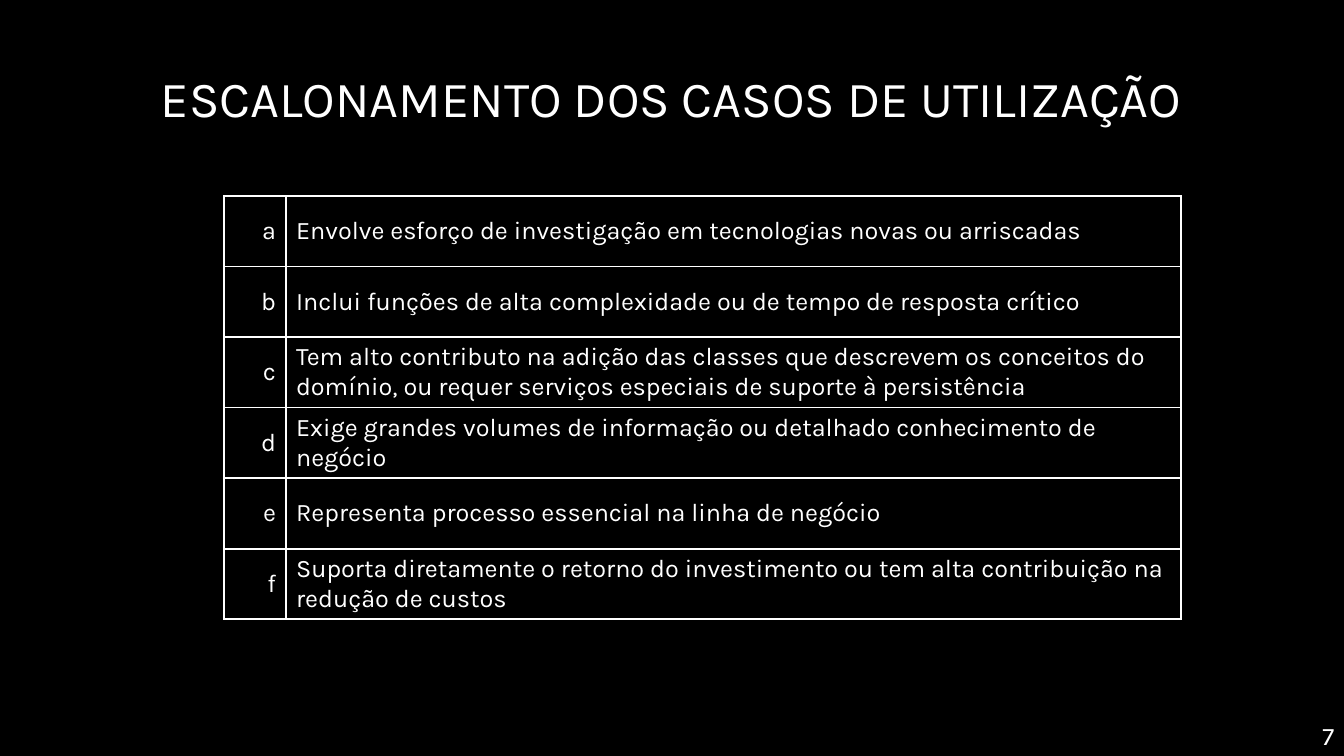
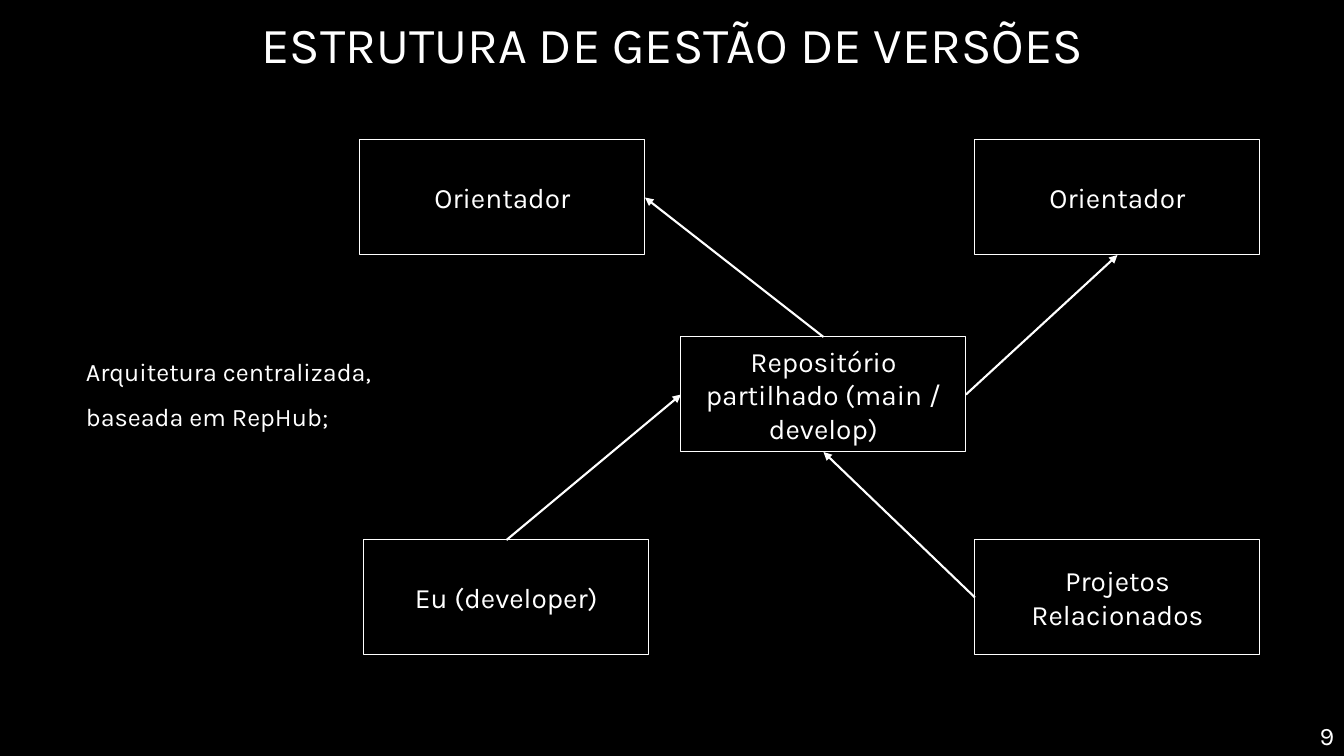
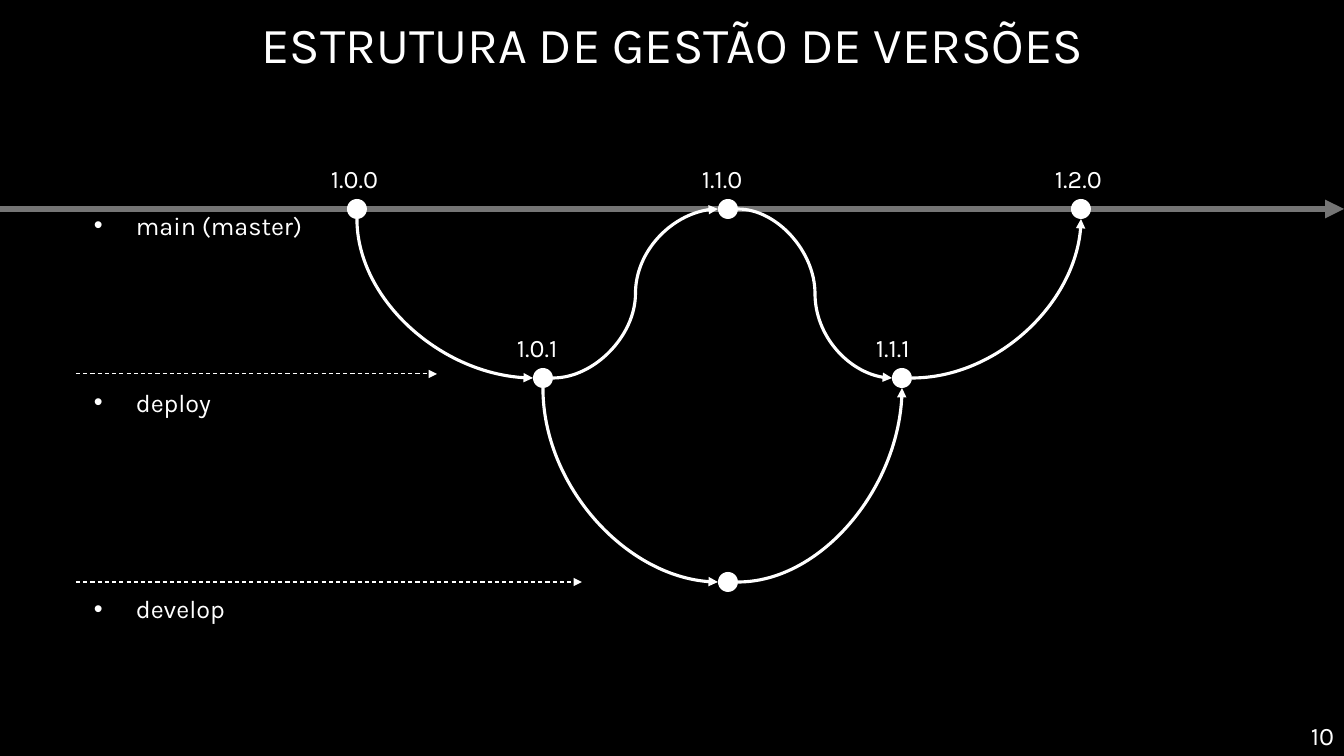
from lxml import etree
from pptx import Presentation
from pptx.dml.color import RGBColor
from pptx.enum.dml import MSO_LINE
from pptx.enum.shapes import MSO_CONNECTOR, MSO_SHAPE
from pptx.enum.text import MSO_ANCHOR, PP_ALIGN
from pptx.oxml.ns import qn
from pptx.util import Pt

PX = 9072  # EMU in one px
WIDTH, HEIGHT = 1344, 756
FONT = "Karla"
BLACK = RGBColor(0x00, 0x00, 0x00)
WHITE = RGBColor(0xFF, 0xFF, 0xFF)
GREY = RGBColor(0x75, 0x75, 0x75)
LEFT, CENTER, RIGHT = PP_ALIGN.LEFT, PP_ALIGN.CENTER, PP_ALIGN.RIGHT
TOP, MIDDLE = MSO_ANCHOR.TOP, MSO_ANCHOR.MIDDLE
STRAIGHT, CURVE = MSO_CONNECTOR.STRAIGHT, MSO_CONNECTOR.CURVE
DASH = MSO_LINE.DASH
RECTANGLE, OVAL = MSO_SHAPE.RECTANGLE, MSO_SHAPE.OVAL
SITE_TOP, SITE_LEFT, SITE_BOTTOM, SITE_RIGHT = range(4)


def write(frame, lines, size=18, align=LEFT, anchor=MIDDLE, spacing=0):
    """Fill a text frame with one paragraph per line."""
    frame.word_wrap = True
    frame.vertical_anchor = anchor
    for number, line in enumerate(lines):
        para = frame.add_paragraph() if number else frame.paragraphs[0]
        para.text = line
        para.alignment = align
        para.space_before = Pt(spacing)
        para.font.name = FONT
        para.font.size = Pt(size)
        para.font.color.rgb = WHITE


def add_arrow(page, kind, begin, end, width, color=WHITE, dash=None, tip="tailEnd"):
    """Draw a connector with a triangle at its end, or at its start (headEnd)."""
    points = [value * PX for value in (*begin, *end)]
    arrow = page.shapes.add_connector(kind, *points)
    arrow.line.width = Pt(width)
    arrow.line.color.rgb = color
    if dash:
        arrow.line.dash_style = dash
    properties = arrow._element.spPr
    etree.SubElement(properties.find(qn("a:ln")), qn("a:" + tip), type="triangle")
    etree.SubElement(properties, qn("a:effectLst"))
    return arrow


deck = Presentation()
deck.slide_width, deck.slide_height = WIDTH * PX, HEIGHT * PX
background = deck.slide_master.background.fill
background.solid()
background.fore_color.rgb = BLACK

# Titles and page numbers
VERSIONS_TITLE = "ESTRUTURA DE GESTÃO DE VERSÕES"
pages = []
for title_text, number, (left, top, width, height) in [
    ("ESCALONAMENTO DOS CASOS DE UTILIZAÇÃO", "7", (26, 59, 1291, 76)),
    (VERSIONS_TITLE, "9", (114, 1, 1117, 85)),
    (VERSIONS_TITLE, "10", (114, 1, 1117, 85)),
]:
    page = deck.slides.add_slide(deck.slide_layouts[5])
    title = page.shapes.title
    title.left, title.top = left * PX, top * PX
    title.width, title.height = width * PX, height * PX
    write(title.text_frame, [title_text], 36, CENTER)
    box = page.shapes.add_textbox(1283 * PX, 715 * PX, 61 * PX, 41 * PX)
    write(box.text_frame, [number], align=RIGHT)
    pages.append(page)
criteria_page, repository_page, branches_page = pages

# Criteria table
criteria = [
    "Envolve esforço de investigação em tecnologias novas ou arriscadas",
    "Inclui funções de alta complexidade ou de tempo de resposta crítico",
    "Tem alto contributo na adição das classes que descrevem os conceitos do "
    "domínio, ou requer serviços especiais de suporte à persistência",
    "Exige grandes volumes de informação ou detalhado conhecimento de negócio",
    "Representa processo essencial na linha de negócio",
    "Suporta diretamente o retorno do investimento ou tem alta contribuição na "
    "redução de custos",
]
table = criteria_page.shapes.add_table(
    len(criteria), 2, 224 * PX, 196 * PX, 957 * PX, 423 * PX
).table
table.first_row = table.horz_banding = False
table.columns[0].width, table.columns[1].width = 62 * PX, 895 * PX
for row, (letter, criterion) in enumerate(zip("abcdef", criteria)):
    for column, (text, align) in enumerate([(letter, RIGHT), (criterion, LEFT)]):
        cell = table.cell(row, column)
        write(cell.text_frame, [text], align=align)
        cell.vertical_anchor = MIDDLE
        cell_properties = cell._tc.get_or_add_tcPr()
        for side in ("lnL", "lnR", "lnT", "lnB"):
            border = etree.SubElement(cell_properties, qn("a:" + side), w=str(Pt(1.5)))
            fill = etree.SubElement(border, qn("a:solidFill"))
            etree.SubElement(fill, qn("a:srgbClr"), val=str(WHITE))
        cell.fill.background()

# Repository diagram
note = repository_page.shapes.add_textbox(76 * PX, 74 * PX, 1117 * PX, 640 * PX)
write(note.text_frame, ["Arquitetura centralizada,", "baseada em RepHub;"], spacing=10)

boxes = {}
for name, text, left, top in [
    ("repository", "Repositório partilhado (main / develop)", 681, 337),
    ("developer", "Eu (developer)", 364, 540),
    ("left advisor", "Orientador", 360, 140),
    ("right advisor", "Orientador", 975, 140),
    ("projects", "Projetos Relacionados", 975, 540),
]:
    box = repository_page.shapes.add_shape(
        RECTANGLE, left * PX, top * PX, 285 * PX, 115 * PX
    )
    box.shadow.inherit = False
    box.fill.background()
    box.line.color.rgb = WHITE
    box.line.width = Pt(0.75)
    frame = box.text_frame
    frame.margin_left = frame.margin_right = 10 * PX
    frame.margin_top = frame.margin_bottom = 10 * PX
    write(frame, [text], 20, CENTER)
    boxes[name] = box

for source, source_site, target, target_site in [
    ("developer", SITE_TOP, "repository", SITE_LEFT),
    ("repository", SITE_TOP, "left advisor", SITE_RIGHT),
    ("repository", SITE_RIGHT, "right advisor", SITE_BOTTOM),
    ("projects", SITE_LEFT, "repository", SITE_BOTTOM),
]:
    arrow = add_arrow(repository_page, STRAIGHT, (0, 0), (0, 0), 1.5)
    arrow.begin_connect(boxes[source], source_site)
    arrow.end_connect(boxes[target], target_site)

# Branch names
branches = branches_page.shapes.add_textbox(76 * PX, 205 * PX, 1117 * PX, 430 * PX)
write(branches.text_frame, ["main (master)", "deploy", "develop"], anchor=TOP)
for para, gap in zip(branches.text_frame.paragraphs, (0, 105, 126)):
    para.space_before = Pt(gap)
    para_properties = para._p.get_or_add_pPr()
    para_properties.set("marL", str(50 * PX))
    para_properties.set("indent", str(-42 * PX))
    bullet_font = etree.Element(qn("a:buFont"), typeface="Arial")
    bullet = etree.Element(qn("a:buChar"), char="•")
    position = para_properties.index(para_properties.find(qn("a:spcBef"))) + 1
    para_properties[position:position] = [bullet_font, bullet]

# Branch lines
MAIN, DEPLOY, DEVELOP = 209, 378, 582
add_arrow(branches_page, STRAIGHT, (0, MAIN), (WIDTH, MAIN), 4.5, GREY)
for end, y in [(437, 374), (582, DEVELOP)]:
    add_arrow(branches_page, STRAIGHT, (76, y), (end, y), 0.75, dash=DASH)

# Versions
RADIUS = 10
versions = {
    "1.0.0": (357, MAIN),
    "1.1.0": (728, MAIN),
    "1.2.0": (1081, MAIN),
    "1.0.1": (543, DEPLOY),
    "1.1.1": (902, DEPLOY),
    "develop": (728, DEVELOP),
}
for version, (x, y) in versions.items():
    dot = branches_page.shapes.add_shape(
        OVAL, (x - RADIUS) * PX, (y - RADIUS) * PX, 2 * RADIUS * PX, 2 * RADIUS * PX
    )
    dot.shadow.inherit = False
    dot.fill.solid()
    dot.fill.fore_color.rgb = WHITE
    dot.line.fill.background()
    if version != "develop":
        label = branches_page.shapes.add_textbox(
            (x - 36) * PX, (y - 51) * PX, 82 * PX, 40 * PX
        )
        write(label.text_frame, [version], anchor=TOP)

# Quarter curves leave the lower dot sideways and meet the upper one from below
for lower, upper, tip in [
    ("develop", "1.0.1", "headEnd"),
    ("1.0.1", "1.0.0", "headEnd"),
    ("develop", "1.1.1", "tailEnd"),
    ("1.1.1", "1.2.0", "tailEnd"),
]:
    (lower_x, lower_y), (upper_x, upper_y) = versions[lower], versions[upper]
    side = RADIUS if upper_x > lower_x else -RADIUS
    begin, end = (lower_x + side, lower_y), (upper_x, upper_y + RADIUS)
    curve = add_arrow(branches_page, CURVE, begin, end, 2.25, tip=tip)
    curve._element.spPr.find(qn("a:prstGeom")).set("prst", "curvedConnector2")

# S curves run from the right of one dot to the left of the next
for source, target in [("1.0.1", "1.1.0"), ("1.1.0", "1.1.1")]:
    (begin_x, begin_y), (end_x, end_y) = versions[source], versions[target]
    begin, end = (begin_x + RADIUS, begin_y), (end_x - RADIUS, end_y)
    add_arrow(branches_page, CURVE, begin, end, 2.25)

deck.save("out.pptx")
